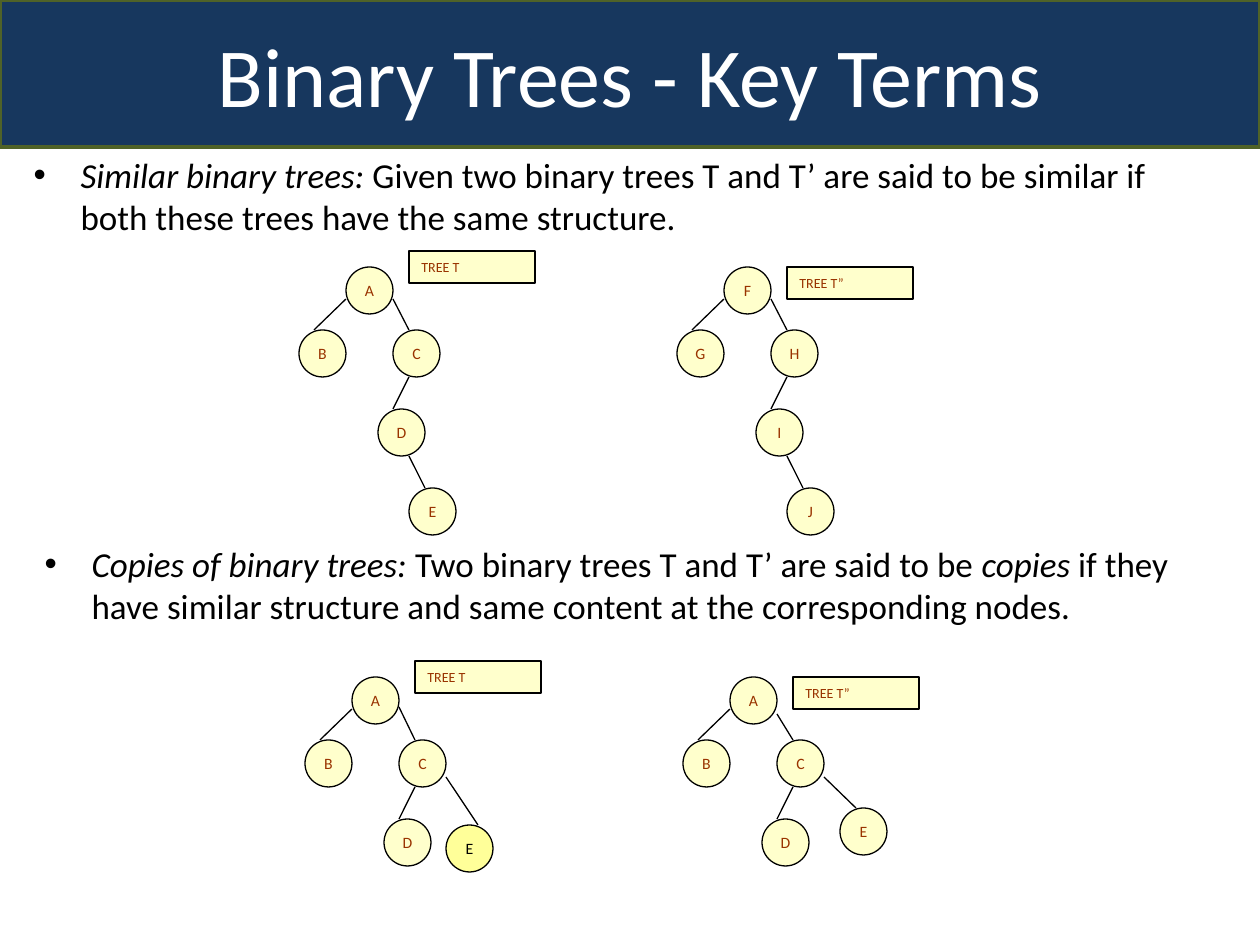
from pptx import Presentation
from pptx.dml.color import RGBColor
from pptx.enum.shapes import MSO_CONNECTOR, MSO_SHAPE
from pptx.enum.text import MSO_ANCHOR, MSO_AUTO_SIZE, PP_ALIGN
from pptx.oxml.ns import qn
from pptx.util import Emu, Pt
from lxml.etree import SubElement

PX_PER_INCH = 126
NODE_SIZE = 47
FONT = "Calibri"
NAVY = RGBColor(0x17, 0x37, 0x5E)
OLIVE = RGBColor(0x4F, 0x62, 0x28)
CREAM = RGBColor(0xFF, 0xFF, 0xCC)
YELLOW = RGBColor(0xFF, 0xFF, 0x99)
BROWN = RGBColor(0x99, 0x33, 0x00)
BLACK = RGBColor(0, 0, 0)
WHITE = RGBColor(0xFF, 0xFF, 0xFF)

SHARED_SPOTS = [(0, 0), (-47, 63), (47, 63), (32, 142)]
LEFT_EDGE = (0, 32, -32, 63)
INNER_EDGE = (63, 110, 47, 142)
SIMILAR_SPOTS = SHARED_SPOTS + [(63, 221)]
SIMILAR_EDGES = [LEFT_EDGE, (47, 32, 63, 63), INNER_EDGE, (63, 189, 79, 221)]


def px(length):
    """Turn pixels into EMU."""
    return Emu(round(length * 914400 / PX_PER_INCH))


def place(shape, left, top, width, height):
    """Move and size a shape in pixels."""
    shape.left, shape.top = px(left), px(top)
    shape.width, shape.height = px(width), px(height)


def add_run(paragraph, text, size, color, italic=False):
    """Append one formatted run."""
    run = paragraph.add_run()
    run.text = text
    run.font.name, run.font.size = FONT, Pt(size)
    run.font.color.rgb = color
    run.font.italic = italic


def set_title(title, text):
    """Make the title placeholder a filled banner."""
    place(title, 0, 0, 1260, 147)
    title.fill.solid()
    title.fill.fore_color.rgb = NAVY
    title.line.color.rgb, title.line.width = OLIVE, Pt(2)
    frame = title.text_frame
    frame.auto_size = MSO_AUTO_SIZE.NONE
    frame.vertical_anchor = MSO_ANCHOR.MIDDLE
    frame.paragraphs[0].alignment = PP_ALIGN.CENTER
    add_run(frame.paragraphs[0], text, 48, WHITE)


def set_definition(body, box, phrases):
    """Write a bulleted definition from (text, italic) phrases."""
    place(body, *box)
    body.text_frame.auto_size = MSO_AUTO_SIZE.NONE
    paragraph = body.text_frame.paragraphs[0]
    paragraph.space_before = Pt(0)
    properties = paragraph._p.get_or_add_pPr()
    properties.set("marL", str(px(47)))
    properties.set("indent", str(-px(47)))
    SubElement(properties, qn("a:buChar")).set("char", "•")
    for text, italic in phrases:
        add_run(paragraph, text, 20, BLACK, italic)


def add_box(slide, kind, box, text, size, fill=CREAM, color=BROWN):
    """Add an outlined preset shape and return its text frame."""
    shape = slide.shapes.add_shape(kind, *map(px, box))
    shape.shadow.inherit = False
    shape.fill.solid()
    shape.fill.fore_color.rgb = fill
    shape.line.color.rgb, shape.line.width = BLACK, Pt(0.75)
    frame = shape.text_frame
    frame.vertical_anchor = MSO_ANCHOR.MIDDLE
    add_run(frame.paragraphs[0], text, size, color)
    return frame


def add_node(slide, left, top, letter, **colors):
    """Add a round tree node."""
    box = (left, top, NODE_SIZE, NODE_SIZE)
    frame = add_box(slide, MSO_SHAPE.OVAL, box, letter, 9, **colors)
    frame.margin_left = frame.margin_right = 0
    frame.margin_top = frame.margin_bottom = 0
    frame.paragraphs[0].alignment = PP_ALIGN.CENTER


def add_label(slide, left, top, text):
    """Add a tree's name tag."""
    frame = add_box(slide, MSO_SHAPE.RECTANGLE, (left, top, 126, 32), text, 8)
    frame.paragraphs[0].alignment = PP_ALIGN.LEFT


def add_edge(slide, *ends):
    """Add a thin line between two tree levels."""
    edge = slide.shapes.add_connector(MSO_CONNECTOR.STRAIGHT, *map(px, ends))
    edge.line.color.rgb, edge.line.width = BLACK, Pt(0.75)
    SubElement(edge._element.spPr, qn("a:effectLst"))


def add_tree(slide, root, name, name_rise, letters, spots, edges, last_colors=None):
    """Draw a tree whose parts are placed relative to its root."""
    left, top = root
    for x1, y1, x2, y2 in edges:
        add_edge(slide, left + x1, top + y1, left + x2, top + y2)
    for index, (letter, (x, y)) in enumerate(zip(letters, spots)):
        is_last = index == len(spots) - 1
        colors = last_colors if is_last and last_colors else {}
        add_node(slide, left + x, top + y, letter, **colors)
    add_label(slide, left + 63, top - name_rise, name)


def copy_tree(leaf, right_start):
    """Return spots and edges of a tree whose last leaf hangs from C."""
    x, y = leaf
    edges = [LEFT_EDGE, (47, right_start, 63, 63), INNER_EDGE, (94, 100, 126, y)]
    return SHARED_SPOTS + [(x, y)], edges


def main():
    """Build and save the slide."""
    deck = Presentation()
    deck.slide_width, deck.slide_height = px(1260), px(945)
    slide = deck.slides.add_slide(deck.slide_layouts[3])
    title, similar, copies = slide.placeholders
    set_title(title, "Binary Trees - Key Terms")
    set_definition(similar, (21, 147, 1207, 84), [
        ("Similar binary trees: ", True),
        ("Given two binary trees T and T’ are said to be similar if both "
         "these trees have the same structure.", False),
    ])
    set_definition(copies, (32, 536, 1218, 97), [
        ("Copies of binary trees: ", True),
        ("Two binary trees T and T’ are said to be ", False),
        ("copies ", True),
        ("if they have similar structure and same content at the "
         "corresponding nodes.", False),
    ])
    add_tree(slide, (346, 267), "TREE T", 16, "ABCDE", SIMILAR_SPOTS, SIMILAR_EDGES)
    add_tree(slide, (724, 267), "TREE T”", 0, "FGHIJ", SIMILAR_SPOTS, SIMILAR_EDGES)
    add_tree(slide, (352, 677), "TREE T", 16, "ABCDE", *copy_tree((94, 148), 30),
             last_colors={"fill": YELLOW, "color": BLACK})
    add_tree(slide, (730, 677), "TREE T”", 0, "ABCDE", *copy_tree((110, 131), 37))
    deck.save("out.pptx")


if __name__ == "__main__":
    main()
